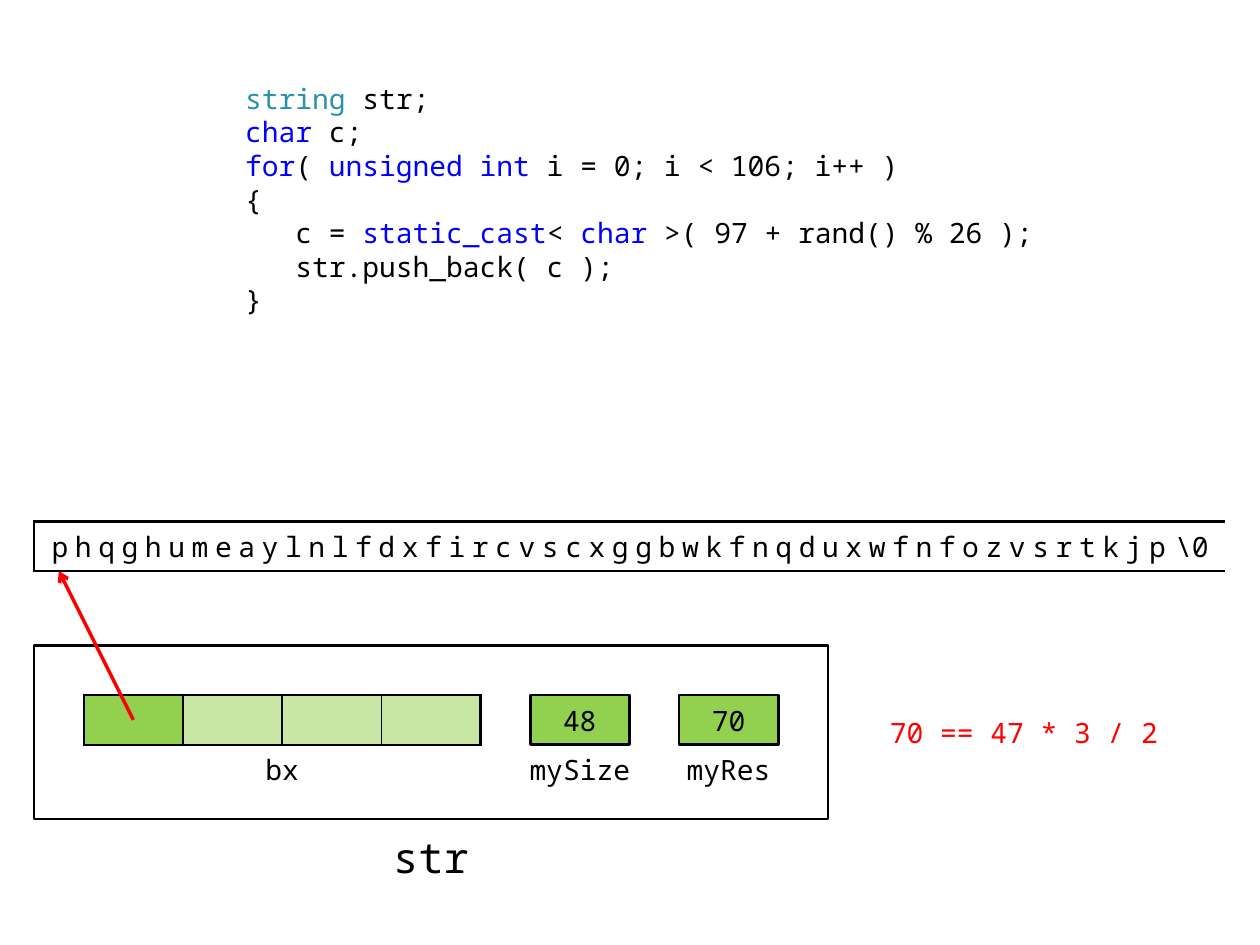
from lxml.etree import SubElement
from pptx import Presentation
from pptx.dml.color import RGBColor
from pptx.enum.shapes import MSO_CONNECTOR, MSO_SHAPE
from pptx.enum.text import MSO_ANCHOR, MSO_AUTO_SIZE, PP_ALIGN
from pptx.oxml.ns import qn
from pptx.util import Pt

LEFT, TOP, STEP = 19.5, 298, 28.35  # grid origin at the buffer's top left corner
BLACK, WHITE, GREEN, RED = "000000", "FFFFFF", "92D050", "FF0000"
TYPE, KEYWORD = "2B91AF", "0000FF"

CODE = [
    [("string ", TYPE), ("str;", BLACK)],
    [("char", KEYWORD), (" c;", BLACK)],
    [("for", KEYWORD), ("( ", BLACK), ("unsigned int", KEYWORD),
     (" i = 0; i < 106; i++ )", BLACK)],
    [("{", BLACK)],
    [("   c = ", BLACK), ("static_cast", KEYWORD), ("< ", BLACK), ("char", KEYWORD),
     (" >( 97 + rand() % 26 );", BLACK)],
    [("   str.push_back( c );", BLACK)],
    [("}", BLACK)],
]


def color(value):
    return RGBColor.from_string(value)


def grid(column, row, width, height):
    """Turn grid units into left, top, width and height."""
    return (Pt(LEFT + column * STEP), Pt(TOP + row * STEP),
            Pt(width * STEP), Pt(height * STEP))


class Diagram:
    """Holds the text style and the current slide."""

    def __init__(self, slide, font="Noto Sans Mono", size=16):
        self.slide, self.font, self.size = slide, font, size

    def add_run(self, paragraph, text, text_color=BLACK, size=None, spacing=None):
        run = paragraph.add_run()
        run.text = text
        run.font.name = self.font
        run.font.size = Pt(size or self.size)
        run.font.color.rgb = color(text_color)
        if spacing is not None:
            run.font._element.set("spc", str(round(spacing * 100)))

    def code(self, place, lines):
        body = self.slide.placeholders[1]
        body.left, body.top, body.width, body.height = place
        frame = body.text_frame
        frame.auto_size = MSO_AUTO_SIZE.NONE
        frame.vertical_anchor = MSO_ANCHOR.TOP
        for index, runs in enumerate(lines):
            paragraph = frame.add_paragraph() if index else frame.paragraphs[0]
            properties = paragraph._p.get_or_add_pPr()
            properties.set("marL", "0")
            properties.set("indent", "0")
            SubElement(properties, qn("a:buNone"))
            paragraph.space_before = Pt(0)
            paragraph.line_spacing = Pt(19.2)
            for text, text_color in runs:
                self.add_run(paragraph, text, text_color)

    def fill_text(self, shape, text, text_color=BLACK, size=None,
                  align=PP_ALIGN.CENTER):
        frame = shape.text_frame
        frame.word_wrap = True
        frame.vertical_anchor = MSO_ANCHOR.MIDDLE
        paragraph = frame.paragraphs[0]
        paragraph.alignment = align
        self.add_run(paragraph, text, text_color, size)

    def text_box(self, place, text, **style):
        self.fill_text(self.slide.shapes.add_textbox(*place), text, **style)

    def box(self, place, text="", fill=None, kind=MSO_SHAPE.FLOWCHART_PROCESS):
        """Add an outlined box, or a bare label when there is no fill."""
        shape = self.slide.shapes.add_shape(kind, *place)
        shape.shadow.inherit = False
        if fill:
            shape.fill.solid()
            shape.fill.fore_color.rgb = color(fill)
            shape.line.color.rgb = color(BLACK)
            shape.line.width = Pt(1.5)
        else:
            shape.fill.background()
            shape.line.fill.background()
        if text:
            self.fill_text(shape, text)

    def row_table(self, place, columns):
        """Add a one-row table and return its cells."""
        table = self.slide.shapes.add_table(1, columns, *place).table
        table.first_row = table.horz_banding = False
        cells = [table.cell(0, index) for index in range(columns)]
        for cell in cells:
            cell.margin_left = cell.margin_right = 0
            cell.margin_top = cell.margin_bottom = 0
            cell.vertical_anchor = MSO_ANCHOR.MIDDLE
        return cells

    def paint_cell(self, cell, left, right, fill=None, alpha=None):
        """Set the fill and the side border widths; a width of 0 hides the border."""
        if fill:
            cell.fill.solid()
            cell.fill.fore_color.rgb = color(fill)
        else:
            cell.fill.background()
        properties = cell._tc.get_or_add_tcPr()
        if alpha:
            tint = properties.find(".//" + qn("a:srgbClr"))
            SubElement(tint, qn("a:alpha"), val=str(alpha * 1000))
        borders = [("a:lnL", left), ("a:lnR", right), ("a:lnT", 1.5), ("a:lnB", 1.5)]
        for index, (tag, width) in enumerate(borders):
            line = SubElement(properties, qn(tag), w=str(Pt(width)))
            if width:
                paint = SubElement(line, qn("a:solidFill"))
                SubElement(paint, qn("a:srgbClr"), val=BLACK)
            else:
                SubElement(line, qn("a:noFill"))
            properties.insert(index, line)

    def arrow(self, start, end):
        points = [grid(*point, 0, 0)[:2] for point in (start, end)]
        connector = self.slide.shapes.add_connector(
            MSO_CONNECTOR.STRAIGHT, *points[0], *points[1])
        connector.line.color.rgb = color(RED)
        connector.line.width = Pt(2)
        SubElement(connector.line._get_or_add_ln(), qn("a:tailEnd"), type="arrow")
        SubElement(connector._element.spPr, qn("a:effectLst"))


def main():
    presentation = Presentation()
    presentation.slide_width, presentation.slide_height = Pt(720), Pt(540)
    slide = presentation.slides.add_slide(presentation.slide_layouts[1])
    title = slide.shapes.title._element
    title.getparent().remove(title)

    diagram = Diagram(slide)
    diagram.code(grid(4, -9, 16.5, 5), CODE)

    diagram.text_box(grid(6.5, 6, 3, 1.5), "str", size=24)
    diagram.box(grid(0, 2.5, 16, 3.5), fill=WHITE)
    diagram.box(grid(4, 4.5, 2, 1), "bx")
    for column, value, name in [(10, "48", "mySize"), (13, "70", "myRes")]:
        diagram.box(grid(column, 3.5, 2, 1), value, GREEN, MSO_SHAPE.RECTANGLE)
        diagram.box(grid(column - 0.5, 4.5, 3, 1), name)

    cells = diagram.row_table(grid(1, 3.5, 8, 1), 4)
    for index, cell in enumerate(cells):
        diagram.paint_cell(cell, left=1 if index else 1.5,
                           right=1 if index < 3 else 1.5,
                           fill=GREEN, alpha=50 if index else None)
    diagram.arrow((2, 4), (0.5, 1))

    buffer = diagram.row_table(grid(0, 0, 24, 1), 1)[0]
    buffer.margin_left = Pt(10)
    diagram.paint_cell(buffer, left=1.5, right=0)
    paragraph = buffer.text_frame.paragraphs[0]
    for text, spacing in [("phqghumeaylnlfdxfircvscxggbwkfnqduxwfnfozvsrtkjp", 3.8),
                          ("\\", -1.5), ("0", 0)]:
        diagram.add_run(paragraph, text, spacing=spacing)

    diagram.text_box(grid(17, 3.5, 6, 1.5), "70 == 47 * 3 / 2",
                     text_color=RED, align=PP_ALIGN.LEFT)
    presentation.save("out.pptx")


if __name__ == "__main__":
    main()
